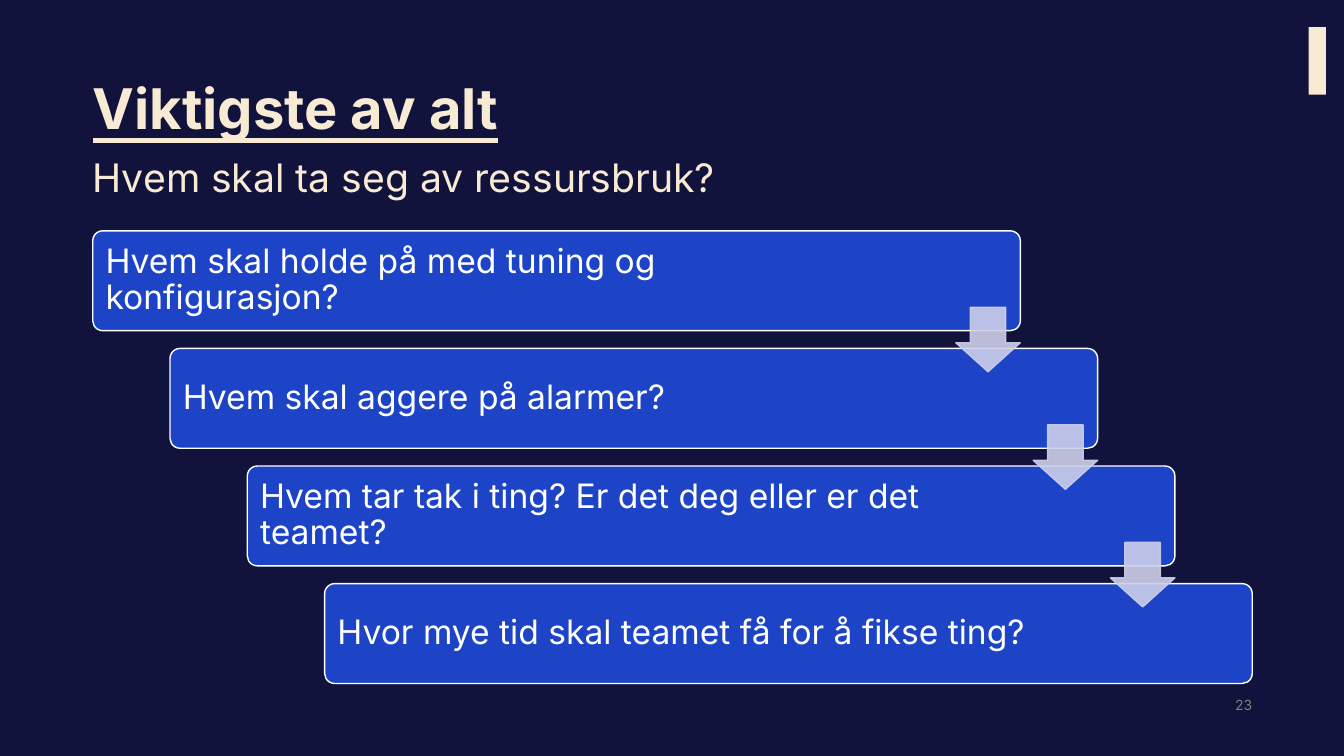
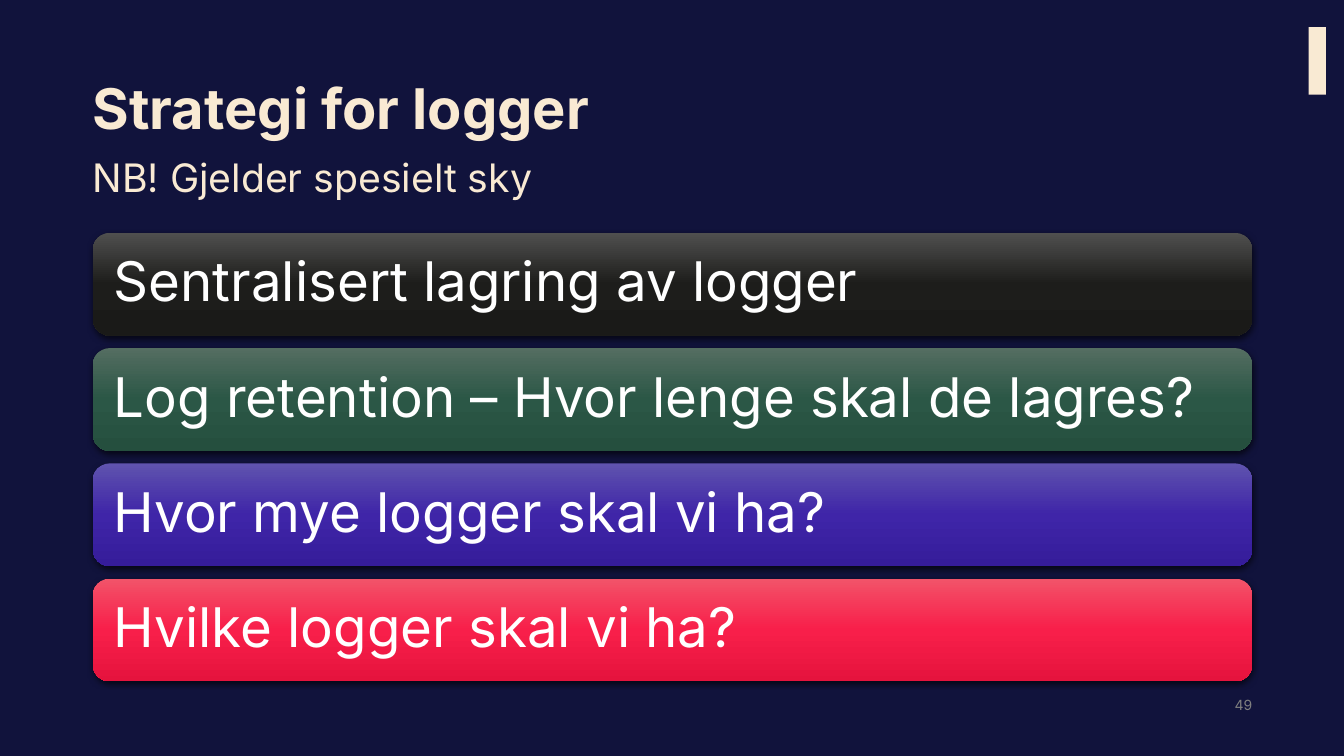
import copy
from dataclasses import dataclass

import lxml.etree
import pptx
import pptx.dml.color
import pptx.enum.shapes
import pptx.enum.text
import pptx.oxml.ns
import pptx.util

inch = pptx.util.Inches
qn = pptx.oxml.ns.qn
KIND = pptx.enum.shapes.MSO_SHAPE
ALIGN = pptx.enum.text.PP_ALIGN
ANCHOR = pptx.enum.text.MSO_ANCHOR

# Content
STEPS = {
    "title": "Viktigste av alt",
    "sub": "Hvem skal ta seg av ressursbruk?",
    "page": "23",
    "items": [
        "Hvem skal holde på med tuning og konfigurasjon?",
        "Hvem skal aggere på alarmer?",
        "Hvem tar tak i ting? Er det deg eller er det teamet?",
        "Hvor mye tid skal teamet få for å fikse ting?",
    ],
}
LOGS = {
    "title": "Strategi for logger",
    "sub": "NB! Gjelder spesielt sky",
    "page": "49",
    "items": [
        ("Sentralisert lagring av logger", ("4F4F4E", "1D1D1B", "1A1A18")),
        ("Log retention – Hvor lenge skal de lagres?", ("546D61", "2B5746", "254F3E")),
        ("Hvor mye logger skal vi ha?", ("5F53AE", "3F25A8", "351C9A")),
        ("Hvilke logger skal vi ha?", ("F25369", "F81F4A", "E5133D")),
    ],
}


@dataclass(frozen=True)
class Theme:
    font: str = "Inter"
    back: str = "11133C"
    cream: str = "F9EAD3"
    white: str = "FFFFFF"
    grey: str = "808080"
    blue: str = "1D43C6"
    pale: str = "CDCFEA"
    title: int = 40
    sub: int = 28
    step: int = 24
    log: int = 39
    page: int = 10


LOOK = Theme()

# Grid, in inches
WIDE, HIGH = 13.33, 7.5
LEFT, SPAN = 0.92, 11.5


def rgb(code):
    return pptx.dml.color.RGBColor.from_string(code)


def spread(first, last, count):
    """Equally spaced positions from first to last."""
    return [first + (last - first) * i / (count - 1) for i in range(count)]


def write(shape, text, size, color, pads=(0, 0, 0, 0), anchor=ANCHOR.TOP,
          align=ALIGN.LEFT, lines=0.9, bold=False, under=False):
    frame = shape.text_frame
    frame.text = text
    frame.word_wrap = True
    frame.auto_size = pptx.enum.text.MSO_AUTO_SIZE.NONE
    frame.vertical_anchor = anchor
    (frame.margin_left, frame.margin_top,
     frame.margin_right, frame.margin_bottom) = map(inch, pads)
    para = frame.paragraphs[0]
    para.alignment, para.line_spacing = align, lines
    font = para.runs[0].font
    font.name, font.size, font.color.rgb = LOOK.font, pptx.util.Pt(size), rgb(color)
    font.bold, font.underline = bold, under


def draw(slide, kind, box, fill=None, line=None, adjust=()):
    shape = slide.shapes.add_shape(kind, *map(inch, box))
    shape.shadow.inherit = False
    for i, value in enumerate(adjust):
        shape.adjustments[i] = value
    if fill:
        shape.fill.solid()
        shape.fill.fore_color.rgb = rgb(fill)
    if line:
        shape.line.color.rgb = rgb(line)
        shape.line.width = pptx.util.Pt(1)
    else:
        shape.line.fill.background()
    return shape


def fade(shape, share):
    """Set the opacity of a shape's fill and line."""
    for color in shape.element.spPr.iter(qn("a:srgbClr")):
        lxml.etree.SubElement(color, qn("a:alpha"), val=str(share * 1000))


def shade(shape, colors):
    """Fill a shape from top to bottom through three colours."""
    shape.fill.gradient()
    shape.fill.gradient_angle = 270
    stops = shape.element.spPr.find(".//" + qn("a:gsLst"))
    stops.insert(1, copy.deepcopy(stops[0]))
    for stop, place, color in zip(shape.fill.gradient_stops, (0, 0.5, 1), colors):
        stop.position, stop.color.rgb = place, rgb(color)


def drop(shape):
    """Cast a soft shadow downwards."""
    effects = shape.element.spPr.find(qn("a:effectLst"))
    shadow = lxml.etree.SubElement(
        effects, qn("a:outerShdw"), blurRad=str(pptx.util.Pt(4.5)),
        dist=str(pptx.util.Pt(1.5)), dir="5400000", algn="ctr", rotWithShape="0")
    color = lxml.etree.SubElement(shadow, qn("a:srgbClr"), val="000000")
    lxml.etree.SubElement(color, qn("a:alpha"), val="63000")


def start(deck, data, under=False):
    """Add a slide with the shared title, subtitle, mark and page number."""
    slide = deck.slides.add_slide(deck.slide_layouts[5])
    draw(slide, KIND.RECTANGLE, (12.98, 0.27, 0.17, 0.67), LOOK.cream)

    page = slide.shapes.add_textbox(*map(inch, (LEFT + SPAN - 0.86, 6.78, 0.86, 0.43)))
    write(page, data["page"], LOOK.page, LOOK.grey, anchor=ANCHOR.MIDDLE,
          align=ALIGN.RIGHT, lines=1)

    title = slide.shapes.title
    title.left, title.top, title.width, title.height = map(inch, (LEFT, 0.8, SPAN, 1.29))
    write(title, data["title"], LOOK.title, LOOK.cream, bold=True, under=under)

    sub = slide.shapes.add_textbox(*map(inch, (LEFT, 1.43, SPAN, 0.66)))
    write(sub, data["sub"], LOOK.sub, LOOK.cream, lines=1.2)
    return slide


def stair(deck):
    """Steps that shift to the right, with an arrow over each gap."""
    slide = start(deck, STEPS, under=True)
    wide, high, side = 0.8 * SPAN, 0.99, 0.64
    count = len(STEPS["items"])
    lefts = spread(LEFT, LEFT + SPAN - wide, count)
    tops = spread(2.29, 5.79, count)
    for text, x, y in zip(STEPS["items"], lefts, tops):
        step = draw(slide, KIND.ROUNDED_RECTANGLE, (x, y, wide, high),
                    LOOK.blue, LOOK.white, [0.1])
        write(step, text, LOOK.step, LOOK.white, (0.1, 0.1, 1.5, 0.1), ANCHOR.MIDDLE)
    for x, y, below in zip(lefts, tops, tops[1:]):
        middle = (y + high + below) / 2
        arrow = draw(slide, KIND.DOWN_ARROW,
                     (x + wide - side, middle - side / 2, side, side),
                     LOOK.pale, LOOK.pale, [0.55, 0.45])
        fade(arrow, 90)


def stack(deck):
    """Full-width bars, each with its own gradient."""
    slide = start(deck, LOGS)
    tops = spread(2.31, 5.74, len(LOGS["items"]))
    for (text, colors), y in zip(LOGS["items"], tops):
        bar = draw(slide, KIND.ROUNDED_RECTANGLE, (LEFT, y, SPAN, 1.02))
        shade(bar, colors)
        drop(bar)
        write(bar, text, LOOK.log, LOOK.white, (0.16,) * 4, ANCHOR.MIDDLE)


def main():
    deck = pptx.Presentation()
    deck.slide_width, deck.slide_height = inch(WIDE), inch(HIGH)
    back = deck.slide_master.background.fill
    back.solid()
    back.fore_color.rgb = rgb(LOOK.back)
    stair(deck)
    stack(deck)
    deck.save("out.pptx")


if __name__ == "__main__":
    main()
